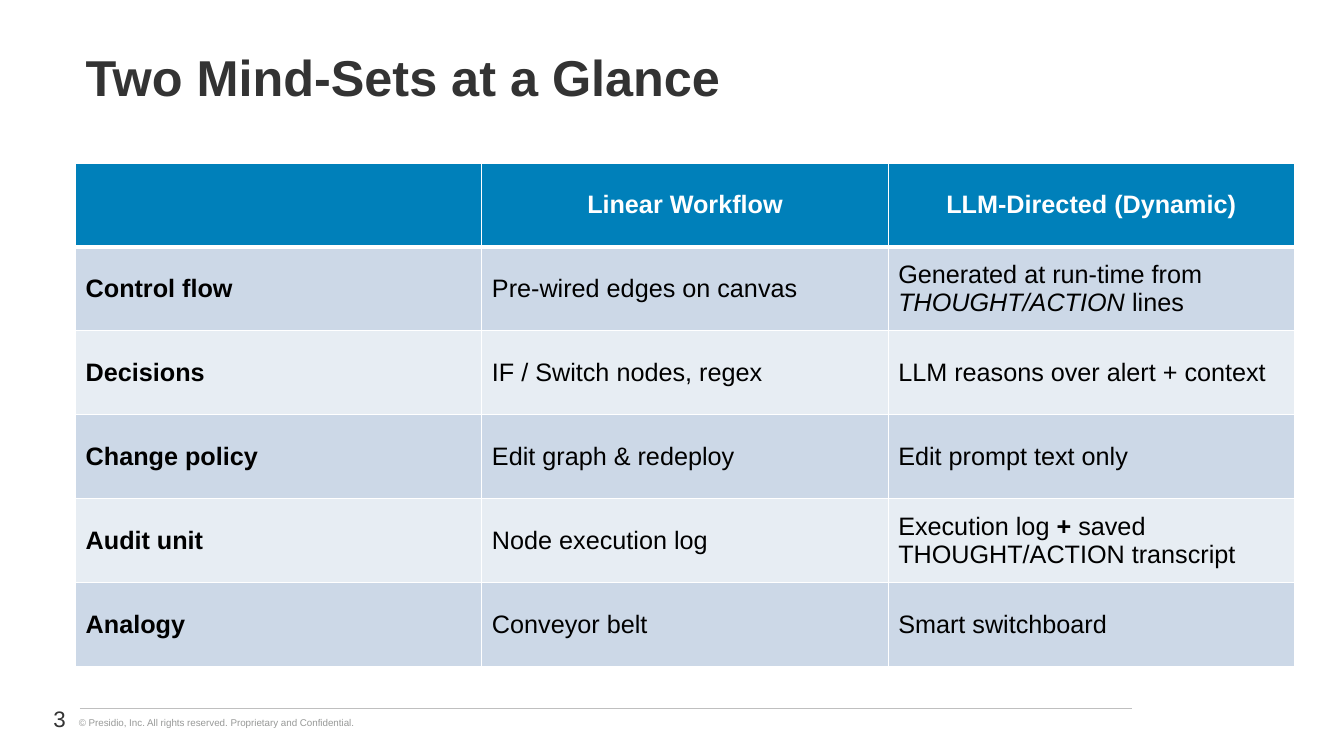
import pptx
import pptx.dml.color
import pptx.enum.shapes
import pptx.enum.text
import pptx.oxml
import pptx.oxml.ns
import pptx.util

RGBColor = pptx.dml.color.RGBColor
ALIGN = pptx.enum.text.PP_ALIGN
MIDDLE = pptx.enum.text.MSO_ANCHOR.MIDDLE

WHITE = RGBColor(0xFF, 0xFF, 0xFF)
BLACK = RGBColor(0x00, 0x00, 0x00)
CHARCOAL = RGBColor(0x33, 0x33, 0x33)
GREY = RGBColor(0x98, 0x99, 0x98)
RULE_GREY = RGBColor(0xBF, 0xBF, 0xBF)
HEADER_BLUE = RGBColor(0x00, 0x80, 0xBA)
BANDS = (RGBColor(0xCC, 0xD8, 0xE7), RGBColor(0xE7, 0xED, 0xF3))

# The slide is a grid of 16 columns by 9 rows
GRID_COLUMNS, GRID_ROWS = 16, 9
MARGIN, CONTENT_WIDTH = 0.9, 14.51

# Each cell is a string, or a list of (text, format) spans
HEADER = ["", "Linear Workflow", "LLM-Directed (Dynamic)"]
COMPARISON = [
    ["Control flow", "Pre-wired edges on canvas",
     [("Generated at run-time from ", {}), ("THOUGHT/ACTION", {"italic": True}),
      (" lines", {})]],
    ["Decisions", "IF / Switch nodes, regex", "LLM reasons over alert + context"],
    ["Change policy", "Edit graph & redeploy", "Edit prompt text only"],
    ["Audit unit", "Node execution log",
     [("Execution log ", {}), ("+", {"bold": True}),
      (" saved THOUGHT/ACTION transcript", {})]],
    ["Analogy", "Conveyor belt", "Smart switchboard"],
]


def write(frame, content, size=18, color=BLACK, bold=False, align=ALIGN.LEFT,
          spacing=None, font="Arial"):
    """Fill a text frame with one formatted paragraph."""
    para = frame.paragraphs[0]
    para.alignment = align
    if spacing:
        para.line_spacing = spacing
    spans = [(content, {})] if isinstance(content, str) else content
    for text, changes in spans:
        span = para.add_run()
        span.text = text
        span.font.name = font
        span.font.size = pptx.util.Pt(size)
        span.font.color.rgb = color
        span.font.bold = changes.get("bold", bold)
        span.font.italic = changes.get("italic", False)


class Page:
    def __init__(self, deck):
        self.slide = deck.slides.add_slide(deck.slide_layouts.get_by_name("Title Only"))
        self.column = deck.slide_width / GRID_COLUMNS
        self.row = deck.slide_height / GRID_ROWS

    def place(self, x, y, width, height):
        return (round(x * self.column), round(y * self.row),
                round(width * self.column), round(height * self.row))

    def title(self, text, x, y, width, height):
        box = self.slide.shapes.title
        box.left, box.top, box.width, box.height = self.place(x, y, width, height)
        box.text_frame.vertical_anchor = MIDDLE
        write(box.text_frame, text, size=36, color=CHARCOAL, bold=True, spacing=0.9)

    def text(self, text, x, y, width, height, wrap=True, anchor=MIDDLE, **style):
        box = self.slide.shapes.add_textbox(*self.place(x, y, width, height))
        box.text_frame.word_wrap = wrap
        box.text_frame.vertical_anchor = anchor
        write(box.text_frame, text, **style)

    def rule(self, x, y, width):
        left, top, length, _ = self.place(x, y, width, 0)
        line = self.slide.shapes.add_connector(
            pptx.enum.shapes.MSO_CONNECTOR.STRAIGHT, left, top, left + length, top)
        line.line.color.rgb = RULE_GREY
        line.line.width = pptx.util.Pt(0.75)
        line._element.spPr.append(pptx.oxml.parse_xml(
            f"<a:effectLst {pptx.oxml.ns.nsdecls('a')}/>"))

    def borders(self, cell, top, bottom):
        properties = cell._tc.get_or_add_tcPr()
        widths = {"L": 1, "R": 1, "T": top, "B": bottom}
        for index, (side, width) in enumerate(widths.items()):
            properties.insert(index, pptx.oxml.parse_xml(
                f"<a:ln{side} {pptx.oxml.ns.nsdecls('a')} w='{pptx.util.Pt(width)}'>"
                f"<a:solidFill><a:srgbClr val='{WHITE}'/></a:solidFill></a:ln{side}>"))

    def table(self, rows, x, y, width, height):
        table = self.slide.shapes.add_table(
            len(rows), len(rows[0]), *self.place(x, y, width, height)).table
        table.horz_banding = False
        for row_index, contents in enumerate(rows):
            is_header = row_index == 0
            for column_index, content in enumerate(contents):
                cell = table.cell(row_index, column_index)
                cell.vertical_anchor = MIDDLE
                cell.fill.solid()
                cell.fill.fore_color.rgb = (
                    HEADER_BLUE if is_header else BANDS[(row_index - 1) % 2])
                self.borders(cell, top=3 if row_index == 1 else 1,
                             bottom=3 if is_header else 1)
                if content:
                    write(cell.text_frame, content,
                          color=WHITE if is_header else BLACK,
                          bold=is_header or column_index == 0,
                          align=ALIGN.CENTER if is_header else ALIGN.LEFT)


def main():
    deck = pptx.Presentation()
    deck.slide_width = pptx.util.Inches(13.33)
    deck.slide_height = pptx.util.Inches(7.5)
    page = Page(deck)

    # Footer
    page.text("© Presidio, Inc. All rights reserved. Proprietary and Confidential.",
              0.82, 8.47, 3.58, 0.26, wrap=False,
              anchor=pptx.enum.text.MSO_ANCHOR.TOP, size=7, color=GREY)
    page.rule(0.95, 8.44, 12.53)
    page.text("3", 0, 8.32, MARGIN, 0.48, size=16, color=CHARCOAL, align=ALIGN.RIGHT)

    # Title and comparison table, one grid row per table row
    page.title("Two Mind-Sets at a Glance", MARGIN, 0.31, CONTENT_WIDTH, 1.28)
    rows = [HEADER] + COMPARISON
    page.table(rows, MARGIN, 1.94, CONTENT_WIDTH, len(rows))

    deck.save("out.pptx")


if __name__ == "__main__":
    main()
